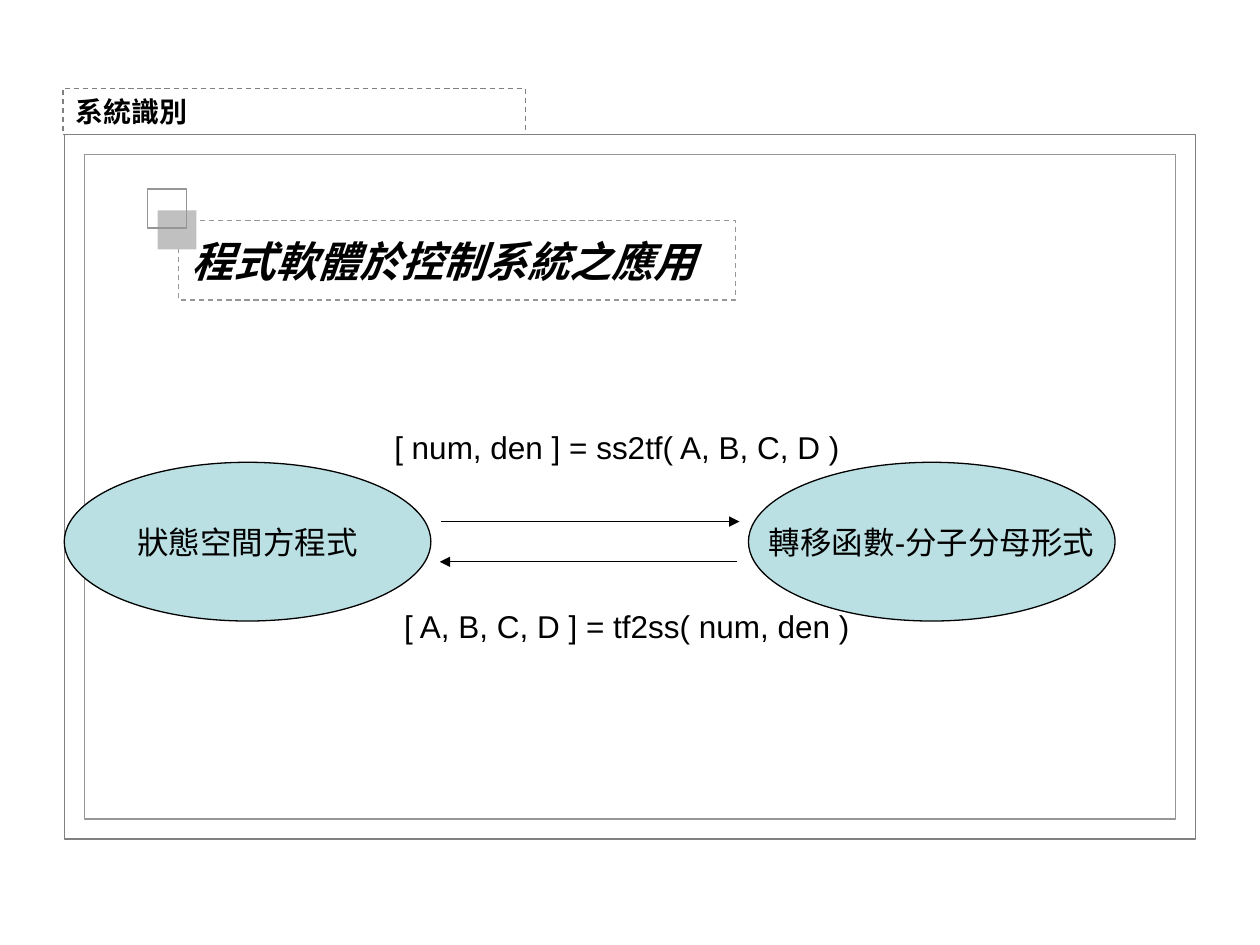
from collections import namedtuple
from dataclasses import dataclass

from lxml.etree import SubElement
from pptx import Presentation
from pptx.dml.color import RGBColor
from pptx.enum.dml import MSO_LINE
from pptx.enum.shapes import MSO_CONNECTOR, MSO_SHAPE
from pptx.enum.text import MSO_ANCHOR, MSO_AUTO_SIZE, PP_ALIGN
from pptx.oxml.ns import qn
from pptx.util import Pt

Box = namedtuple("Box", "x y w h")


@dataclass(frozen=True)
class Theme:
    ink: RGBColor = RGBColor(0x00, 0x00, 0x00)
    frame: RGBColor = RGBColor(0x80, 0x80, 0x80)
    rule: RGBColor = RGBColor(0x96, 0x96, 0x96)
    accent: RGBColor = RGBColor(0xC0, 0xC0, 0xC0)
    node: RGBColor = RGBColor(0xBB, 0xE0, 0xE3)
    title: int = 24
    tab: int = 16
    body: int = 18
    line: float = 0.75
    sans: str = "Arial"
    serif: str = "Times New Roman"
    cjk: str = "Noto Sans CJK SC"


THEME = Theme()


def add_box(s, box, kind=MSO_SHAPE.RECTANGLE, fill=None, line=None, dash=None):
    sp = s.shapes.add_shape(kind, *map(Pt, box))
    sp.shadow.inherit = False
    if fill is None:
        sp.fill.background()
    else:
        sp.fill.solid()
        sp.fill.fore_color.rgb = fill
    if line is None:
        sp.line.fill.background()
    else:
        sp.line.color.rgb = line
        sp.line.width = Pt(THEME.line)
        sp.line.dash_style = dash
    return sp


def write(sp, text, size, name=THEME.sans, align=PP_ALIGN.LEFT, frame=None, **font):
    """Put one line of text in a shape; frame and font hold format values."""
    tf = sp.text_frame
    for key, value in (frame or {}).items():
        setattr(tf, key, value)
    p = tf.paragraphs[0]
    p.alignment = align
    r = p.add_run()
    r.text = text
    for key, value in {"size": Pt(size), "name": name, **font}.items():
        setattr(r.font, key, value)
    r.font.color.rgb = THEME.ink
    SubElement(r.font._element, qn("a:ea"), typeface=THEME.cjk)


def add_arrow(s, x1, x2, y):
    line = s.shapes.add_connector(MSO_CONNECTOR.STRAIGHT, Pt(x1), Pt(y), Pt(x2), Pt(y))
    line.line.color.rgb = THEME.ink
    line.line.width = Pt(THEME.line)
    SubElement(line.line._get_or_add_ln(), qn("a:tailEnd"), type="triangle")
    SubElement(line._element.spPr, qn("a:effectLst"))


def add_frames(s, box, gap=11.5):
    """Draw two nested frames, a gap apart."""
    add_box(s, box, line=THEME.frame)
    inner = Box(box.x + gap, box.y + gap, box.w - 2 * gap, box.h - 2 * gap)
    add_box(s, inner, line=THEME.rule)


def add_title(s, box, text):
    """Draw the dashed title box with two overlapping squares at its corner."""
    sp = add_box(s, box, line=THEME.rule, dash=MSO_LINE.DASH)
    write(sp, text, THEME.title, THEME.serif, bold=True, italic=True,
          frame={"vertical_anchor": MSO_ANCHOR.MIDDLE, "word_wrap": False})
    side = 22.3
    add_box(s, Box(box.x - 12.2, box.y - 5.8, side, side), fill=THEME.accent)
    add_box(s, Box(box.x - 18, box.y - 18, side, side), line=THEME.rule)


def add_tab(s, box, text):
    sp = add_box(s, box, line=THEME.frame, dash=MSO_LINE.DASH)
    write(sp, text, THEME.tab, THEME.cjk, bold=True,
          frame={"vertical_anchor": MSO_ANCHOR.TOP, "word_wrap": True,
                 "auto_size": MSO_AUTO_SIZE.SHAPE_TO_FIT_TEXT})


def add_conversion(s, box, nodes, forward, backward):
    """Draw two nodes with an arrow and a command for each direction."""
    node_w = 209.5
    right = box.x + box.w - node_w
    for x, text in zip((box.x, right), nodes):
        sp = add_box(s, Box(x, box.y, node_w, box.h), MSO_SHAPE.OVAL,
                     THEME.node, THEME.ink)
        write(sp, text, THEME.body, align=PP_ALIGN.CENTER,
              frame={"vertical_anchor": MSO_ANCHOR.MIDDLE, "word_wrap": False})

    left = box.x + node_w
    middle = box.y + box.h / 2
    add_arrow(s, left + 5.8, right - 5.1, middle - 11.5)
    add_arrow(s, right - 6.5, left + 5.1, middle + 11.5)

    for text, x, y in ((backward, left - 22.3, box.y + box.h - 11.5),
                       (forward, left - 28, box.y - 23)):
        label = s.shapes.add_textbox(Pt(x), Pt(y), Pt(272.2), Pt(28.8))
        write(label, text, THEME.body,
              frame={"word_wrap": True, "auto_size": MSO_AUTO_SIZE.SHAPE_TO_FIT_TEXT})


def main():
    prs = Presentation()
    prs.slide_width, prs.slide_height = Pt(720), Pt(540)
    s = prs.slides.add_slide(prs.slide_layouts[6])
    add_frames(s, Box(36.7, 77, 646.6, 402.5))
    add_title(s, Box(102.2, 126, 318.2, 45.4), "程式軟體於控制系統之應用")
    add_tab(s, Box(36, 50.4, 264.2, 26.6), "系統識別")
    add_conversion(s, Box(36.7, 264.2, 600.5, 90.7),
                   ("狀態空間方程式", "轉移函數-分子分母形式"),
                   "[ num, den ] = ss2tf( A, B, C, D )",
                   "[ A, B, C, D ] = tf2ss( num, den )")
    prs.save("out.pptx")


if __name__ == "__main__":
    main()
